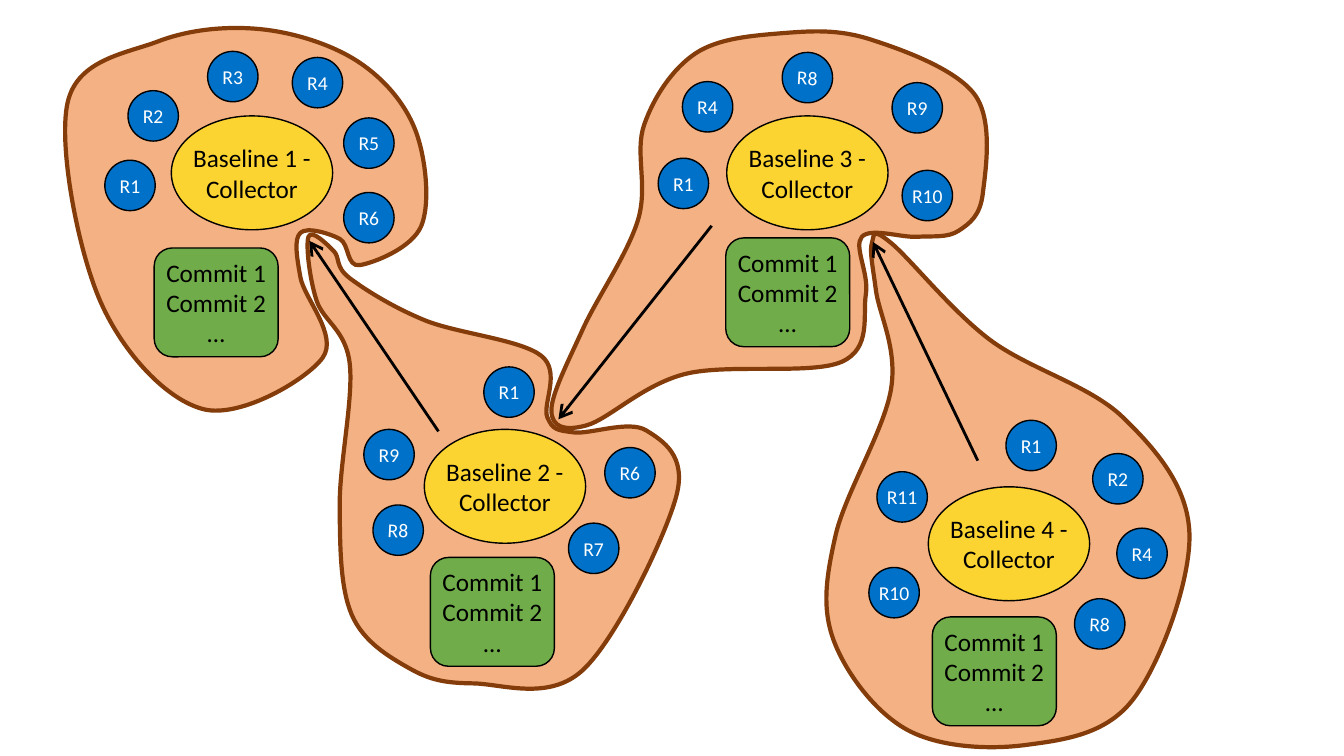
from lxml import etree
from pptx import Presentation
from pptx.dml.color import RGBColor
from pptx.enum.shapes import MSO_CONNECTOR, MSO_SHAPE
from pptx.enum.text import MSO_ANCHOR, PP_ALIGN
from pptx.oxml.ns import qn
from pptx.util import Inches, Pt

OVAL = MSO_SHAPE.OVAL
ROUND = MSO_SHAPE.ROUNDED_RECTANGLE
LINE = MSO_CONNECTOR.STRAIGHT
MIDDLE = MSO_ANCHOR.MIDDLE
CENTER = PP_ALIGN.CENTER

PEACH = RGBColor(0xF4, 0xB1, 0x83)
BROWN = RGBColor(0x84, 0x3C, 0x0B)
GREEN = RGBColor(0x70, 0xAC, 0x49)
GOLD = RGBColor(0xFC, 0xD4, 0x32)
BLUE = RGBColor(0x00, 0x71, 0xC8)
BLACK = RGBColor(0, 0, 0)
WHITE = RGBColor(0xFF, 0xFF, 0xFF)

# The slide is a grid of square cells, ten to the inch
CELL = Inches(0.1)
COLS, ROWS = 133.33, 75
HUB = (16, 11.3)
TILE = (12.3, 10.8)
BALL = (5, 5)
FONT = "Calibri"
TILT = 2.7

# Each baseline: outline box and knots, hub corner, tile corner, revisions
GROUPS = [
    {
        "name": "Baseline 1 -",
        "box": (6.4, 2.8, 35.8, 37.9),
        "knots": [(41.2, 12.9), (35.5, 6.1), (25.9, 2.9), (15.7, 4.1),
                  (6.7, 10.2), (10, 30), (20.2, 40.6), (32, 35.5),
                  (29.8, 27.5), (29.8, 23.1), (33.7, 23.7), (35.7, 26.3),
                  (41.8, 22.4)],
        "hub": (17, 11.5),
        "tile": (15.3, 24.6),
        "balls": {"R1": (10.4, 15.9), "R2": (12.7, 9), "R3": (20.6, 5.1),
                  "R4": (29, 5.7), "R5": (34.1, 11.7), "R6": (34.1, 19.1)},
    },
    {
        "name": "Baseline 2 -",
        "box": (30.5, 23.3, 36.8, 45),
        "knots": [(46.9, 67.8), (57.8, 66.5), (67.1, 49.2), (64.1, 42.7),
                  (56.9, 42.9), (54.3, 41.4), (53.7, 35.3), (42.2, 31.8),
                  (34.7, 27.6), (33.1, 24.9), (30.6, 23.5), (31.4, 29.8),
                  (34.7, 36.1), (33.7, 50.2), (34.9, 61), (40.6, 66.3)],
        "hub": (42.1, 42.6),
        "tile": (42.7, 55.3),
        "balls": {"R1": (48, 36.4), "R6": (60, 44.4), "R7": (56.4, 51.9),
                  "R8": (37, 50.1), "R9": (36.1, 42.6)},
    },
    {
        "name": "Baseline 3 -",
        "box": (54.7, 3.1, 43.2, 39.3),
        "knots": [(97.5, 19.2), (96.7, 9.4), (86.3, 3.9), (77.6, 3.3),
                  (69, 5.3), (63.9, 12.4), (63.3, 21.8), (57.8, 32.7),
                  (54.7, 40.8), (58.2, 42.2), (68, 37.1), (83.5, 35.9),
                  (85.9, 29.2), (85.5, 23.5), (91, 23.5), (95.1, 22.9)],
        "hub": (72.1, 11.5),
        "tile": (72, 23.6),
        "balls": {"R1": (65.3, 15.7), "R4": (67.7, 8.1), "R8": (77.6, 5.2),
                  "R9": (88.5, 8.2), "R10": (89.5, 16.9)},
    },
    {
        "name": "Baseline 4 -",
        "box": (82, 23.2, 36, 50.9),
        "knots": [(82.7, 63.5), (90, 72.4), (101.8, 73.9), (112.4, 69.4),
                  (118, 52.9), (111.4, 41.4), (98.2, 33.7), (88.4, 24.1),
                  (86.5, 24.1), (86.9, 28.8), (88.4, 38.6), (82.9, 53.1)],
        "hub": (92.1, 48.3),
        "tile": (92.5, 61.2),
        "balls": {"R1": (99.8, 41.7), "R2": (108.4, 45), "R4": (110.8, 52.4),
                  "R8": (106.6, 59.4), "R10": (86.2, 56.3),
                  "R11": (87, 46.8)},
    },
]
ARROWS = [
    ((43.5, 42.8), (30.7, 23.9)),
    ((70.6, 22.4), (55.4, 41.6)),
    ((97, 45.7), (86.6, 24)),
]


def grid(*cells):
    return [round(cell * CELL) for cell in cells]


def paint(shape, fill, line, width):
    shape.shadow.inherit = False
    shape.fill.solid()
    shape.fill.fore_color.rgb = fill
    shape.line.color.rgb = line
    shape.line.width = Pt(width)


def lean(spot, back, ahead):
    """Bezier handle of a smooth curve at spot."""
    return [s + (a - b) / 6 for s, b, a in zip(spot, back, ahead)]


def add_step(track, tag, spots, left, top):
    step = etree.SubElement(track, qn(tag))
    for x, y in spots:
        across, down = grid(x - left, y - top)
        etree.SubElement(step, qn("a:pt"), x=str(across), y=str(down))


def add_blob(slide, box, knots):
    pen = slide.shapes.build_freeform(*grid(*knots[0]))
    pen.add_line_segments([grid(*knot) for knot in knots[1:]], close=True)
    blob = pen.convert_to_shape()
    paint(blob, PEACH, BROWN, 3)
    blob.left, blob.top, blob.width, blob.height = grid(*box)

    # Turn the straight sides into smooth curves
    track = blob._element.spPr.find(".//" + qn("a:path"))
    for side in list(track):
        track.remove(side)
    track.set("w", str(blob.width))
    track.set("h", str(blob.height))
    left, top = box[:2]
    add_step(track, "a:moveTo", knots[:1], left, top)
    count = len(knots)
    for i in range(count):
        a, b, c, d = [knots[(i + k) % count] for k in (-1, 0, 1, 2)]
        add_step(track, "a:cubicBezTo",
                 [lean(b, a, c), lean(c, d, b), c], left, top)
    etree.SubElement(track, qn("a:close"))


def add_node(slide, kind, spot, size, fill, lines, points, color):
    node = slide.shapes.add_shape(kind, *grid(*spot, *size))
    paint(node, fill, BLACK, 1)
    frame = node.text_frame
    frame.word_wrap = False
    frame.vertical_anchor = MIDDLE
    for i, line in enumerate(lines):
        para = frame.add_paragraph() if i else frame.paragraphs[0]
        para.alignment = CENTER
        run = para.add_run()
        run.text = line
        run.font.name = FONT
        run.font.size = Pt(points)
        run.font.color.rgb = color
    return node


def add_arrow(slide, start, end):
    arrow = slide.shapes.add_connector(LINE, *grid(*start, *end))
    arrow.line.color.rgb = BLACK
    arrow.line.width = Pt(2)
    stroke = arrow._element.spPr.find(qn("a:ln"))
    etree.SubElement(stroke, qn("a:tailEnd"), type="arrow", w="lg", len="lg")
    etree.SubElement(arrow._element.spPr, qn("a:effectLst"))


def add_group(slide, group):
    add_node(slide, ROUND, group["tile"], TILE, GREEN,
             ["Commit 1", "Commit 2", "…"], 18, BLACK)
    add_node(slide, OVAL, group["hub"], HUB, GOLD,
             [group["name"], "Collector"], 18, BLACK)
    for name, spot in group["balls"].items():
        ball = add_node(slide, OVAL, spot, BALL, BLUE, [name], 14, WHITE)
        if name == "R8":
            ball.rotation = TILT


def main():
    deck = Presentation()
    deck.slide_width, deck.slide_height = grid(COLS, ROWS)
    slide = deck.slides.add_slide(deck.slide_layouts[6])

    # Outlines lie behind everything else
    for group in GROUPS:
        add_blob(slide, group["box"], group["knots"])

    # Commits, collectors and revisions
    for group in GROUPS:
        add_group(slide, group)

    # Links between baselines
    for start, end in ARROWS:
        add_arrow(slide, start, end)

    deck.save("out.pptx")


if __name__ == "__main__":
    main()
